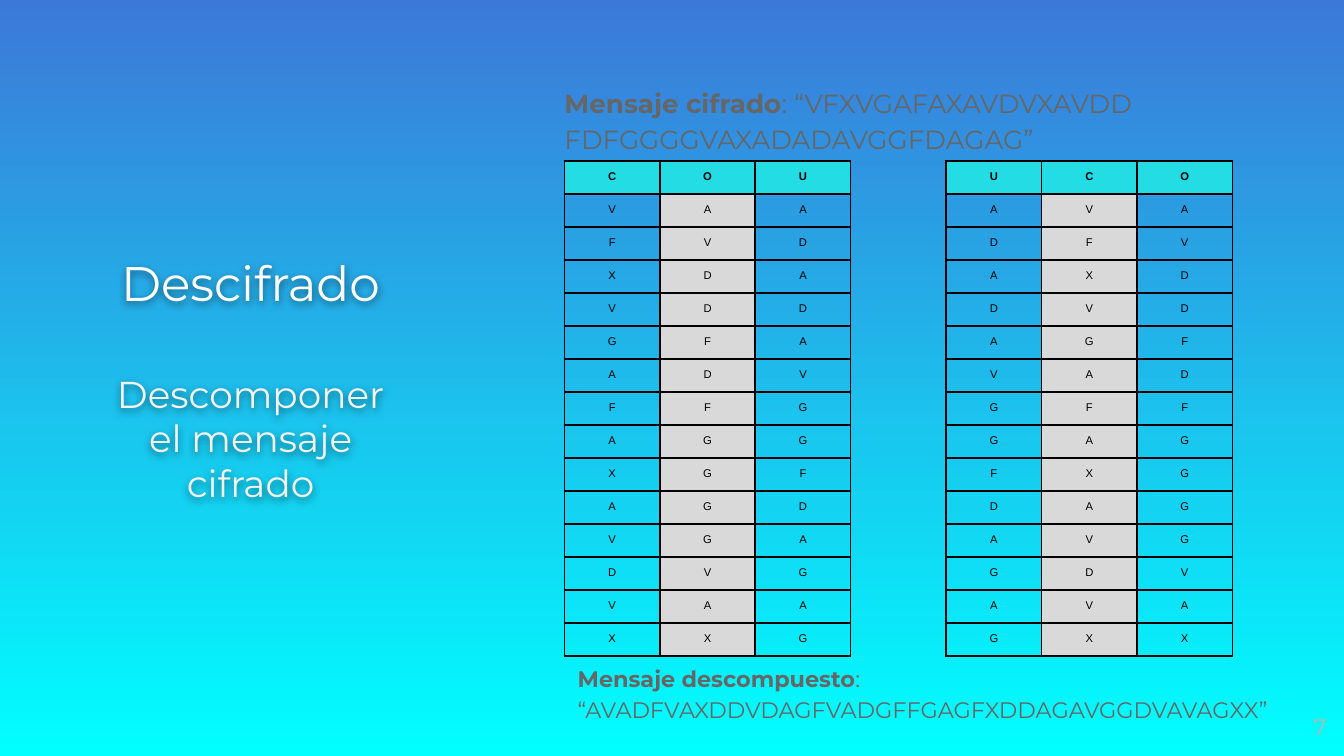
from dataclasses import dataclass

from lxml.etree import SubElement
from pptx import Presentation
from pptx.dml.color import RGBColor
from pptx.enum.text import MSO_ANCHOR, MSO_AUTO_SIZE, PP_ALIGN
from pptx.oxml.ns import qn
from pptx.util import Inches, Pt

# Colours and fonts
BLUE = RGBColor(0x3C, 0x78, 0xD8)
CYAN = RGBColor(0x00, 0xFF, 0xFF)
WHITE = RGBColor(0xFF, 0xFF, 0xFF)
OFF_WHITE = RGBColor(0xF3, 0xF3, 0xF3)
SILVER = RGBColor(0xB7, 0xB7, 0xB7)
GRAY = RGBColor(0x66, 0x66, 0x66)
BLACK = RGBColor(0x00, 0x00, 0x00)
HEADER_FILL = RGBColor(0x23, 0xDC, 0xE4)
MIDDLE_FILL = RGBColor(0xD9, 0xD9, 0xD9)
TEXT_FONT = "Montserrat"
TABLE_FONT = "Arial"

SLIDE_WIDTH = Inches(10)
SLIDE_HEIGHT = SLIDE_WIDTH * 9 // 16

# Each key letter heads one third of the encrypted message
CIPHER_COLUMNS = {
    "C": "VFXVGAFAXAVDVX",
    "O": "AVDDFDFGGGGVAX",
    "U": "ADADAVGGFDAGAG",
}


@dataclass(frozen=True)
class Area:
    """A rectangle in percent of the slide's width and height."""
    left: float
    top: float
    width: float
    height: float

    def bounds(self) -> tuple[int, int, int, int]:
        return (
            int(SLIDE_WIDTH * self.left / 100),
            int(SLIDE_HEIGHT * self.top / 100),
            int(SLIDE_WIDTH * self.width / 100),
            int(SLIDE_HEIGHT * self.height / 100),
        )


@dataclass(frozen=True)
class KeyTable:
    key: str
    area: Area


@dataclass(frozen=True)
class Message:
    label: str
    text: str
    size: int


TITLE_AREA = Area(7.6, 17.78, 22.1, 64.71)
ENCRYPTED_AREA = Area(42, 7.47, 54.5, 16.36)
DECOMPOSED_AREA = Area(42, 85.69, 54, 12.98)
NUMBER_AREA = Area(92.7, 92.27, 6, 7.64)
TABLES = [
    KeyTable("UCO", Area(70.4, 21.33, 21.3, 65.42)),
    KeyTable("COU", Area(42, 21.33, 21.3, 65.42)),
]
ENCRYPTED = Message(
    "Mensaje cifrado", ": “VFXVGAFAXAVDVXAVDD FDFGGGGVAXADADAVGGFDAGAG”", 14)
DECOMPOSED = Message(
    "Mensaje descompuesto", ": “AVADFVAXDDVDAGFVADGFFGAGFXDDAGAVGGDVAVAGXX”", 12)


def place(shape, area: Area) -> None:
    shape.left, shape.top, shape.width, shape.height = area.bounds()


def set_frame(frame, anchor: MSO_ANCHOR, inset: float) -> None:
    frame.word_wrap = True
    frame.auto_size = MSO_AUTO_SIZE.NONE
    frame.vertical_anchor = anchor
    frame.margin_left = frame.margin_right = Inches(inset)
    frame.margin_top = frame.margin_bottom = Inches(inset)


def set_font(paragraph, size: int, color: RGBColor, name: str = TEXT_FONT) -> None:
    paragraph.font.size = Pt(size)
    paragraph.font.name = name
    paragraph.font.color.rgb = color


def add_soft_shadow(shape) -> None:
    effects = SubElement(shape._element.spPr, qn("a:effectLst"))
    shadow = SubElement(effects, qn("a:outerShdw"), blurRad=str(Pt(4.5)),
                        dist=str(Pt(1.5)), dir="5400000", algn="bl", rotWithShape="0")
    color = SubElement(shadow, qn("a:srgbClr"), val=str(BLACK))
    SubElement(color, qn("a:alpha"), val="50000")


def write_message(frame, message: Message) -> None:
    paragraph = frame.paragraphs[0]
    paragraph.line_spacing = 1.15
    paragraph.space_before, paragraph.space_after = Pt(6), Pt(10)
    set_font(paragraph, message.size, GRAY)
    label = paragraph.add_run()
    label.text = message.label
    label.font.bold = True
    paragraph.add_run().text = message.text


def add_borders(cell) -> None:
    properties = cell._tc.get_or_add_tcPr()
    for side in ("a:lnL", "a:lnR", "a:lnT", "a:lnB"):
        line = SubElement(properties, qn(side), w=str(Pt(1)))
        fill = SubElement(line, qn("a:solidFill"))
        SubElement(fill, qn("a:srgbClr"), val=str(BLACK))


def fill_cell(cell, letter: str, row: int, column: int) -> None:
    cell.margin_left = cell.margin_right = Inches(0.07)
    cell.margin_top = cell.margin_bottom = Inches(0.07)
    add_borders(cell)
    if row == 0 or column == 1:
        cell.fill.solid()
        cell.fill.fore_color.rgb = HEADER_FILL if row == 0 else MIDDLE_FILL
    else:
        cell.fill.background()
    paragraph = cell.text_frame.paragraphs[0]
    paragraph.text = letter
    paragraph.alignment = PP_ALIGN.CENTER
    set_font(paragraph, 6, BLACK, TABLE_FONT)
    paragraph.font.bold = row == 0


def add_key_table(page, spec: KeyTable) -> None:
    columns = [letter + CIPHER_COLUMNS[letter] for letter in spec.key]
    row_count = len(columns[0])
    table = page.shapes.add_table(row_count, len(columns), *spec.area.bounds()).table
    table.first_row = table.horz_banding = False
    for column, letters in enumerate(columns):
        for row, letter in enumerate(letters):
            fill_cell(table.cell(row, column), letter, row, column)


def main() -> None:
    deck = Presentation()
    deck.slide_width, deck.slide_height = SLIDE_WIDTH, SLIDE_HEIGHT
    page = deck.slides.add_slide(deck.slide_layouts[1])

    # Background, blue at the top to cyan at the bottom
    background = page.background.fill
    background.gradient()
    background.gradient_angle = 270
    for stop, color, position in zip(background.gradient_stops, (BLUE, CYAN), (0, 1)):
        stop.color.rgb = color
        stop.position = position

    # Title and subtitle
    title = page.shapes.title
    place(title, TITLE_AREA)
    set_frame(title.text_frame, MSO_ANCHOR.MIDDLE, 0)
    heading = title.text_frame.paragraphs[0]
    heading.text = "Descifrado"
    set_font(heading, 26, WHITE)
    subtitle = title.text_frame.add_paragraph()
    subtitle.text = "Descomponer el mensaje cifrado"
    subtitle.space_before = Pt(32)
    set_font(subtitle, 20, OFF_WHITE)
    for paragraph in (heading, subtitle):
        paragraph.alignment = PP_ALIGN.CENTER
    add_soft_shadow(title)

    # Encrypted message, without a bullet
    body = page.placeholders[1]
    place(body, ENCRYPTED_AREA)
    set_frame(body.text_frame, MSO_ANCHOR.MIDDLE, 0)
    write_message(body.text_frame, ENCRYPTED)
    properties = body.text_frame.paragraphs[0]._p.get_or_add_pPr()
    properties.set("marL", "0")
    properties.set("indent", "0")
    properties.insert_element_before(
        properties.makeelement(qn("a:buNone"), {}), "a:tabLst", "a:defRPr", "a:extLst")

    # Key tables
    for spec in TABLES:
        add_key_table(page, spec)

    # Decomposed message
    box = page.shapes.add_textbox(*DECOMPOSED_AREA.bounds())
    set_frame(box.text_frame, MSO_ANCHOR.TOP, 0.1)
    write_message(box.text_frame, DECOMPOSED)

    # Slide number
    number = page.shapes.add_textbox(*NUMBER_AREA.bounds())
    set_frame(number.text_frame, MSO_ANCHOR.MIDDLE, 0)
    paragraph = number.text_frame.paragraphs[0]
    paragraph.text = "7"
    paragraph.alignment = PP_ALIGN.RIGHT
    set_font(paragraph, 12, SILVER)

    deck.save("out.pptx")


if __name__ == "__main__":
    main()
